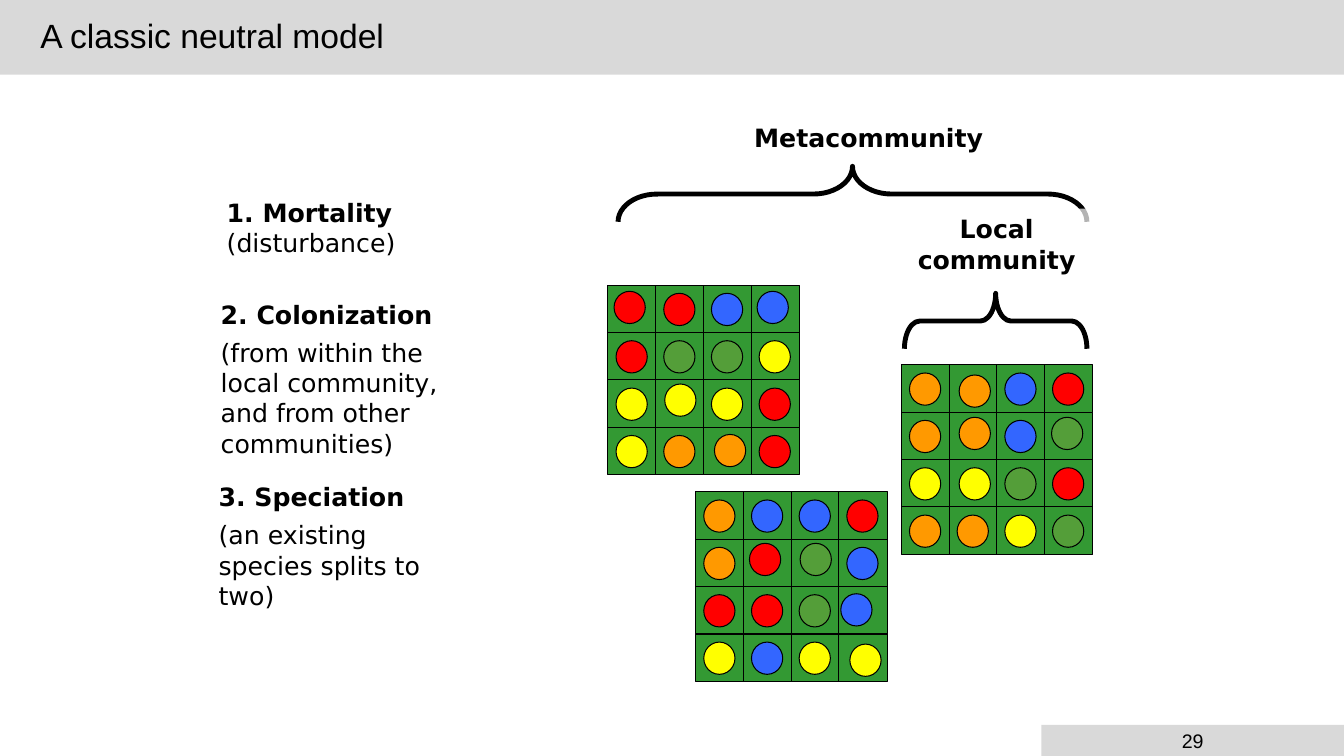
from lxml.etree import SubElement
from pptx import Presentation
from pptx.dml.color import RGBColor as RGB
from pptx.enum.shapes import MSO_SHAPE as Kind
from pptx.enum.text import MSO_ANCHOR as Anchor, MSO_AUTO_SIZE as Auto, PP_ALIGN as Align
from pptx.oxml.ns import qn
from pptx.util import Inches, Pt

STEP_X, STEP_Y = 0.473, 0.47
INSET = 0.08
TINTS = {"R": "FF0000", "B": "3366FF", "G": "549E39", "Y": "FFFF00", "O": "FF9900"}

# Left, top, species by row, and the discs moved off their cell's centre.
PLOTS = [
    (6.03, 2.83, ["RRBB", "RGGY", "YYYR", "YOOR"],
     {(0, 0): (-0.02, -0.02), (0, 3): (-0.02, -0.02),
      (2, 1): (0.01, -0.04), (3, 2): (0.03, -0.01)}),
    (6.9, 4.88, ["OBBR", "ORGB", "RRGB", "YBYY"],
     {(1, 1): (-0.02, -0.04), (1, 2): (0.01, -0.04),
      (2, 3): (-0.06, -0.01), (3, 3): (0.03, 0.02)}),
    (8.94, 3.62, ["OOBR", "OOBG", "YYGR", "OOYG"],
     {(0, 1): (0.02, 0.02), (1, 1): (0.02, -0.03),
      (2, 1): (0.02, 0), (1, 3): (-0.01, -0.03)}),
]

BRACES = [
    ((9.6, 2.28, 0.55, 1.81), 0.274),
    ((8.18, -0.4, 0.55, 4.65), 0.703),
]

# Box, alignment, and paragraphs made of (text, bold) runs.
LABELS = [
    ((8.76, 2.07, 2.25, 0.71), Align.CENTER, [[("Local community", True)]]),
    ((6.99, 1.16, 2.86, 0.4), Align.RIGHT, [[("Metacommunity", True)]]),
    ((2.15, 1.91, 2.28, 0.7), Align.LEFT,
     [[("1. Mortality ", True), ("(disturbance)", False)]]),
    ((2.09, 2.92, 2.45, 1.71), Align.LEFT,
     [[("2. Colonization", True)],
      [("(from within the local community, and from other communities)", False)]]),
    ((2.07, 4.73, 2.45, 1.4), Align.LEFT,
     [[("3. Speciation", True)],
      [("(an existing species splits to two)", False)]]),
]


def paint(target, tint):
    target.solid()
    target.fore_color.rgb = RGB.from_string(tint)


def apply(target, values):
    for name, value in values.items():
        setattr(target, name, value)


class Board:
    ink = "000000"
    bar = "D9D9D9"
    veil = "FFFFFF"
    field = "339933"

    def __init__(self, slide):
        self.slide = slide

    def shape(self, kind, box, fill=None, line=None, home=None):
        item = (home or self.slide).shapes.add_shape(kind, *map(Inches, box))
        item.shadow.inherit = False
        if fill:
            paint(item.fill, fill)
        else:
            item.fill.background()
        if line:
            paint(item.line.fill, self.ink)
            item.line.width = Pt(line)
        else:
            item.line.fill.background()
        return item

    def text(self, item, paras, font, frame, para):
        """Fill a shape with paragraphs of (text, bold) runs."""
        apply(item.text_frame, {"word_wrap": True, **frame})
        for i, runs in enumerate(paras):
            line = item.text_frame.paragraphs[0] if i == 0 else item.text_frame.add_paragraph()
            apply(line, para)
            for words, bold in runs:
                run = line.add_run()
                run.text = words
                apply(run.font, {"bold": bold, **font})
                paint(run.font.fill, self.ink)

    def band(self, box, words, size, frame, para):
        item = self.shape(Kind.RECTANGLE, box, self.bar)
        self.text(item, [[(words, False)]], {"name": "Arial", "size": Pt(size)},
                  {"vertical_anchor": Anchor.MIDDLE, **frame}, para)

    def label(self, box, align, paras):
        """Add text on a see-through white box."""
        item = self.shape(Kind.RECTANGLE, box, self.veil)
        tint = item.element.spPr.find(qn("a:solidFill"))[0]
        SubElement(tint, qn("a:alpha"), val="70000")
        self.text(item, paras, {"name": "DejaVu Sans", "size": Pt(18)},
                  {"vertical_anchor": Anchor.TOP, "auto_size": Auto.SHAPE_TO_FIT_TEXT},
                  {"alignment": align, "space_after": Pt(5.5)})

    def brace(self, box, curl):
        item = self.shape(Kind.LEFT_BRACE, box, line=3.5)
        item.rotation = 90
        item.adjustments[0] = curl
        item.adjustments[1] = 0.5

    def plot(self, left, top, rows, moves):
        """Add one community: a grid of cells with a disc in each."""
        group = self.slide.shapes.add_group_shape()
        cells = [(r, c, left + c * STEP_X, top + r * STEP_Y)
                 for r in range(len(rows)) for c in range(len(rows[r]))]
        for r, c, x, y in cells:
            self.shape(Kind.RECTANGLE, (x, y, 0.48, 0.47), self.field, 0.75, group)
        for r, c, x, y in cells:
            dx, dy = moves.get((r, c), (0, 0))
            self.shape(Kind.OVAL, (x + INSET + dx, y + INSET + dy, 0.31, 0.32),
                       TINTS[rows[r][c]], 0.75, group)


def main():
    deck = Presentation()
    apply(deck, {"slide_width": Inches(13.33), "slide_height": Inches(7.5)})
    board = Board(deck.slides.add_slide(deck.slide_layouts[6]))
    board.band((0, 0, 13.33, 0.74), "A classic neutral model", 24,
               {"margin_left": Inches(0.4)},
               {"alignment": Align.LEFT, "line_spacing": 0.9})
    board.band((10.33, 7.19, 3, 0.31), "29", 14, {}, {"alignment": Align.CENTER})
    for brace in BRACES:
        board.brace(*brace)
    for label in LABELS:
        board.label(*label)
    for plot in PLOTS:
        board.plot(*plot)
    deck.save("out.pptx")


if __name__ == "__main__":
    main()
